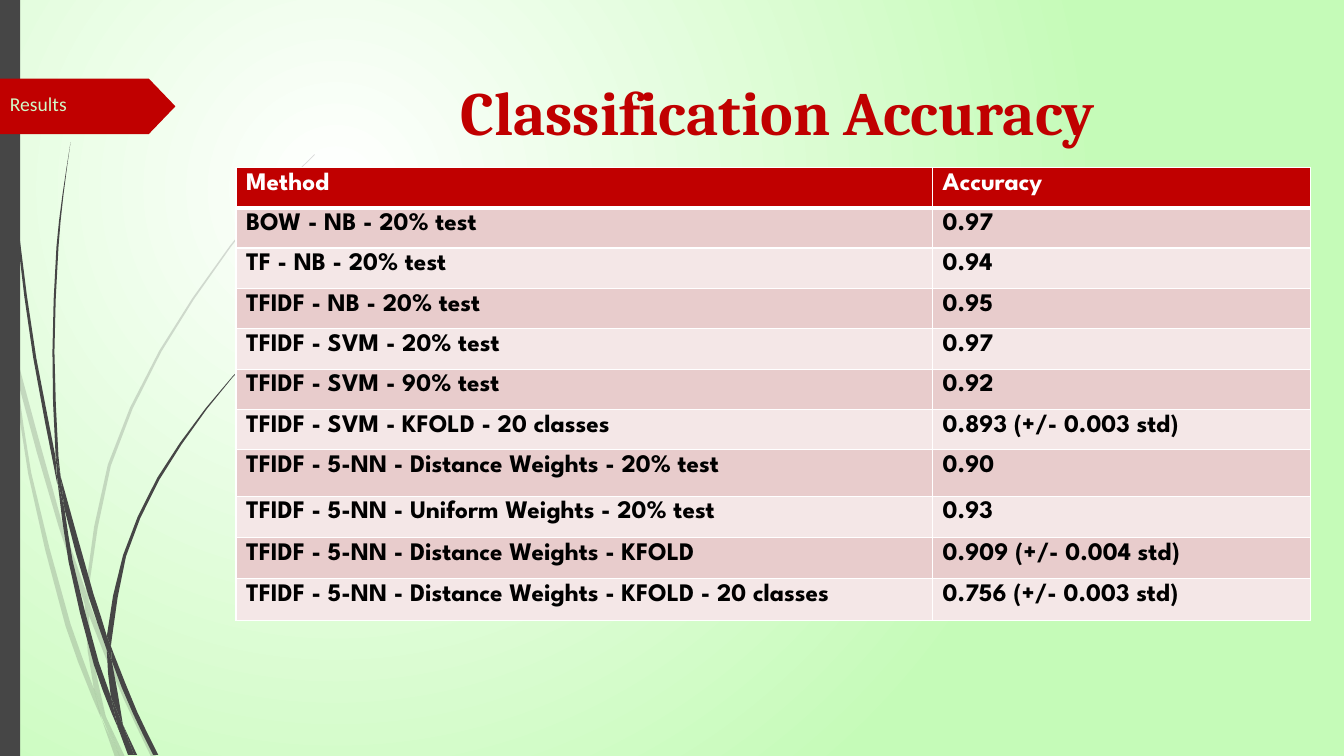
from dataclasses import dataclass

from lxml.etree import SubElement
from pptx import Presentation
from pptx.dml.color import RGBColor as RGB
from pptx.enum.shapes import MSO_SHAPE as SHAPE
from pptx.enum.text import MSO_ANCHOR as ANCHOR, PP_ALIGN as ALIGN
from pptx.oxml import parse_xml
from pptx.oxml.ns import nsdecls, qn
from pptx.util import Inches, Pt

Point = tuple[float, float]


@dataclass(frozen=True)
class Theme:
    red: RGB = RGB.from_string("C00000")
    grey: RGB = RGB.from_string("464646")
    white: RGB = RGB.from_string("FFFFFF")
    black: RGB = RGB.from_string("000000")
    green: RGB = RGB.from_string("C5FBB8")
    label: RGB = RGB.from_string("D1F9C7")
    bands: tuple[RGB, RGB] = (RGB.from_string("E8CCCC"), RGB.from_string("F4E7E7"))
    title_size: int = 44
    table_size: int = 18
    label_size: int = 14


@dataclass(frozen=True)
class Blade:
    """A piece of grass: two edges running from top to bottom."""
    left: list[Point]
    right: list[Point]


@dataclass(frozen=True)
class Result:
    method: str
    accuracy: str
    height: float = 0.4


THEME = Theme()

PALE_GRASS = [
    Blade([(0, 2.82), (0, 2.99), (0.1, 3.44), (0.11, 3.5)], [(0, 2.82), (0.09, 3.22), (0.11, 3.5)]),
    Blade([(0.14, 3.45), (0.17, 3.76), (0.58, 5.22), (0.84, 5.99)],
          [(0.14, 3.45), (0.62, 5.2), (0.85, 5.86), (0.84, 5.99)]),
    Blade([(0.88, 5.96), (0.88, 6.1), (1.23, 6.94), (1.5, 7.51)],
          [(0.88, 5.96), (0.92, 6.07), (1.27, 6.92), (1.55, 7.51)]),
    Blade([(1.05, 7.11), (1.19, 7.51)], [(1.05, 7.11), (1.24, 7.51)]),
    Blade([(0.11, 3.5), (0.28, 4.7), (0.65, 6.21), (0.92, 6.93), (1.01, 7.14)],
          [(0.11, 3.5), (0.17, 3.76), (0.31, 4.69), (0.7, 6.19), (0.93, 6.83), (1.01, 7.14)]),
    Blade([(0.84, 5.99), (0.87, 6.46), (0.93, 6.83), (1.05, 7.11)],
          [(0.84, 5.99), (0.88, 6.1), (0.91, 6.46), (1.05, 7.11)]),
    Blade([(3.12, 1.53), (2.68, 1.97), (2.28, 2.44), (1.58, 3.48), (1.07, 4.61), (0.85, 5.84),
           (0.88, 5.96)],
          [(3.12, 1.54), (2.68, 1.98), (2.29, 2.45), (1.6, 3.49), (1.1, 4.62), (0.88, 5.84)]),
    Blade([(1.01, 7.14), (1.14, 7.51)], [(1.01, 7.14), (1.19, 7.51)]),
    Blade([(0.85, 5.86), (0.84, 5.99), (0.88, 6.1)], [(0.85, 5.86), (0.88, 5.96), (0.88, 6.1)]),
    Blade([(0.93, 6.83), (0.99, 7.07), (1.19, 7.51)], [(0.93, 6.83), (1.05, 7.11), (1.19, 7.51)]),
]

DARK_GRASS = [
    Blade([(0.03, 0), (0.04, 0.48), (0.07, 1.1), (0.17, 2.33), (0.33, 3.55), (0.57, 4.81)],
          [(0.04, 0), (0.05, 0.48), (0.08, 1.09), (0.19, 2.32), (0.36, 3.55), (0.55, 4.53),
           (0.57, 4.81)]),
    Blade([(0.6, 4.72), (0.64, 5.05), (0.88, 5.92), (1.06, 6.45)],
          [(0.6, 4.72), (0.93, 5.9), (1.06, 6.31), (1.06, 6.45)]),
    Blade([(1.1, 6.41), (1.11, 6.56), (1.32, 7.08), (1.52, 7.49)],
          [(1.1, 6.41), (1.13, 6.49), (1.36, 7.06), (1.57, 7.49)]),
    Blade([(0.57, 4.77), (0.68, 5.57), (0.93, 6.59), (1.11, 7.08), (1.17, 7.22)],
          [(0.57, 4.77), (0.64, 5.05), (0.72, 5.56), (0.98, 6.57), (1.1, 6.91), (1.17, 7.22)]),
    Blade([(0.7, 1.41), (0.62, 1.93), (0.56, 2.45), (0.52, 3.49), (0.55, 4.49), (0.6, 4.72)],
          [(0.7, 1.41), (0.63, 1.93), (0.58, 2.45), (0.54, 3.49), (0.58, 4.53), (0.6, 4.72)]),
    Blade([(1.22, 7.19), (1.33, 7.49)], [(1.22, 7.19), (1.36, 7.49)]),
    Blade([(0.55, 4.49), (0.57, 4.77), (0.64, 5.05)], [(0.55, 4.49), (0.6, 4.72), (0.64, 5.05)]),
    Blade([(2.6, 3.44), (2.31, 3.73), (2.04, 4.05), (1.56, 4.74), (1.22, 5.51), (1.06, 6.31),
           (1.1, 6.41)],
          [(2.61, 3.44), (2.31, 3.74), (2.05, 4.06), (1.58, 4.76), (1.25, 5.52), (1.11, 6.33)]),
    Blade([(1.17, 7.22), (1.27, 7.49)], [(1.17, 7.22), (1.31, 7.49)]),
    Blade([(1.06, 6.45), (1.1, 6.91), (1.22, 7.19)], [(1.06, 6.45), (1.11, 6.56), (1.22, 7.19)]),
    Blade([(1.06, 6.31), (1.06, 6.45), (1.11, 6.56)], [(1.06, 6.31), (1.1, 6.41), (1.11, 6.56)]),
    Blade([(1.1, 6.91), (1.17, 7.22), (1.3, 7.49)], [(1.1, 6.91), (1.22, 7.19), (1.33, 7.49)]),
]

RESULTS = [
    Result("Method", "Accuracy"),
    Result("BOW - NB - 20% test", "0.97"),
    Result("TF - NB - 20% test", "0.94"),
    Result("TFIDF - NB - 20% test", "0.95"),
    Result("TFIDF - SVM - 20% test", "0.97"),
    Result("TFIDF - SVM - 90% test", "0.92"),
    Result("TFIDF - SVM - KFOLD - 20 classes", "0.893 (+/- 0.003 std)"),
    Result("TFIDF - 5-NN - Distance Weights - 20% test", "0.90", 0.46),
    Result("TFIDF - 5-NN - Uniform Weights - 20% test", "0.93", 0.41),
    Result("TFIDF - 5-NN - Distance Weights - KFOLD", "0.909 (+/- 0.004 std)", 0.41),
    Result("TFIDF - 5-NN - Distance Weights - KFOLD - 20 classes", "0.756 (+/- 0.003 std)", 0.41),
]


def smooth(edge: list[Point]) -> list[Point]:
    """Add a cubic Hermite midpoint to each long span of an edge."""
    last = len(edge) - 1
    slopes = []
    for i in range(last + 1):
        (x0, y0), (x1, y1) = edge[max(i - 1, 0)], edge[min(i + 1, last)]
        slopes.append((x1 - x0) / (y1 - y0))
    curve = [edge[0]]
    for i, ((x0, y0), (x1, y1)) in enumerate(zip(edge, edge[1:])):
        if y1 - y0 > 0.4:
            bulge = (y1 - y0) * (slopes[i] - slopes[i + 1]) / 8
            curve.append(((x0 + x1) / 2 + bulge, (y0 + y1) / 2))
        curve.append((x1, y1))
    return curve


def paint(sp, color: RGB, alpha: int = 100) -> None:
    sp.shadow.inherit = False
    sp.fill.solid()
    sp.fill.fore_color.rgb = color
    sp.line.fill.background()
    if alpha < 100:
        clr = sp.fill._xPr.find(qn("a:solidFill"))[0]
        SubElement(clr, qn("a:alpha"), val=str(alpha * 1000))


def add_grass(s, blades: list[Blade], alpha: int) -> None:
    for blade in blades:
        outline = smooth(blade.left) + smooth(blade.right)[::-1]
        points = [(Inches(x), Inches(y)) for x, y in outline]
        builder = s.shapes.build_freeform(*points[0], scale=1.0)
        builder.add_line_segments(points[1:], close=True)
        paint(builder.convert_to_shape(), THEME.grey, alpha)


def add_run(p, text: str, font: str, size: int, color: RGB, bold: bool = False) -> None:
    r = p.add_run()
    r.text = text
    r.font.name, r.font.size, r.font.bold = font, Pt(size), bold
    r.font.color.rgb = color


def set_background(s) -> None:
    fill = s.background.fill
    fill.gradient()
    for stop, color in zip(fill.gradient_stops, (THEME.white, THEME.green)):
        stop.color.rgb = color
    grad = s.background._cSld.find(".//" + qn("a:gradFill"))
    grad.replace(grad.find(qn("a:lin")), parse_xml(
        f'<a:path {nsdecls("a")} path="circle">'
        '<a:fillToRect l="50000" t="50000" r="100000" b="100000"/></a:path>'))


def set_borders(cell, bottom: int) -> None:
    tc_pr = cell._tc.get_or_add_tcPr()
    for i, (side, width) in enumerate({"L": 1, "R": 1, "T": 1, "B": bottom}.items()):
        tc_pr.insert(i, parse_xml(
            f'<a:ln{side} {nsdecls("a")} w="{Pt(width)}"><a:solidFill>'
            f'<a:srgbClr val="{THEME.white}"/></a:solidFill></a:ln{side}>'))


def add_results(s, results: list[Result]) -> None:
    height = sum(result.height for result in results)
    table = s.shapes.add_table(len(results), 2, Inches(2.34), Inches(1.66),
                               Inches(10.66), Inches(height)).table
    for col, width in zip(table.columns, (6.91, 3.75)):
        col.width = Inches(width)
    for i, result in enumerate(results):
        table.rows[i].height = Inches(result.height)
        header = i == 0
        for cell, text in zip(table.rows[i].cells, (result.method, result.accuracy)):
            cell.fill.solid()
            cell.fill.fore_color.rgb = THEME.red if header else THEME.bands[(i - 1) % 2]
            set_borders(cell, 3 if header else 1)
            add_run(cell.text_frame.paragraphs[0], text, "League Spartan",
                    THEME.table_size, THEME.white if header else THEME.black, True)


def main() -> None:
    prs = Presentation()
    prs.slide_width, prs.slide_height = Inches(13.33), Inches(7.5)
    s = prs.slides.add_slide(prs.slide_layouts[5])
    set_background(s)
    # Grass, side bar and section arrow
    add_grass(s, PALE_GRASS, 20)
    add_grass(s, DARK_GRASS, 100)
    paint(s.shapes.add_shape(SHAPE.RECTANGLE, 0, 0, Inches(0.2), prs.slide_height), THEME.grey)
    arrow = s.shapes.add_shape(SHAPE.PENTAGON, 0, Inches(0.78), Inches(1.74), Inches(0.55))
    arrow.adjustments[0] = 0.48
    paint(arrow, THEME.red)
    # Title, in front of the decoration
    title = s.shapes.title
    title.left, title.top = Inches(2.84), Inches(0.68)
    title.width, title.height = Inches(9.75), Inches(1.4)
    s.shapes._spTree.append(title._element)
    title.text_frame.vertical_anchor = ANCHOR.TOP
    p = title.text_frame.paragraphs[0]
    p.alignment = ALIGN.CENTER
    add_run(p, "Classification Accuracy", "Cambria", THEME.title_size, THEME.red, True)
    # Section label and accuracy table
    tf = s.shapes.add_textbox(0, Inches(0.86), Inches(1.94), Inches(0.34)).text_frame
    tf.word_wrap = True
    add_run(tf.paragraphs[0], "Results", "Calibri", THEME.label_size, THEME.label)
    add_results(s, RESULTS)
    prs.save("out.pptx")


if __name__ == "__main__":
    main()
